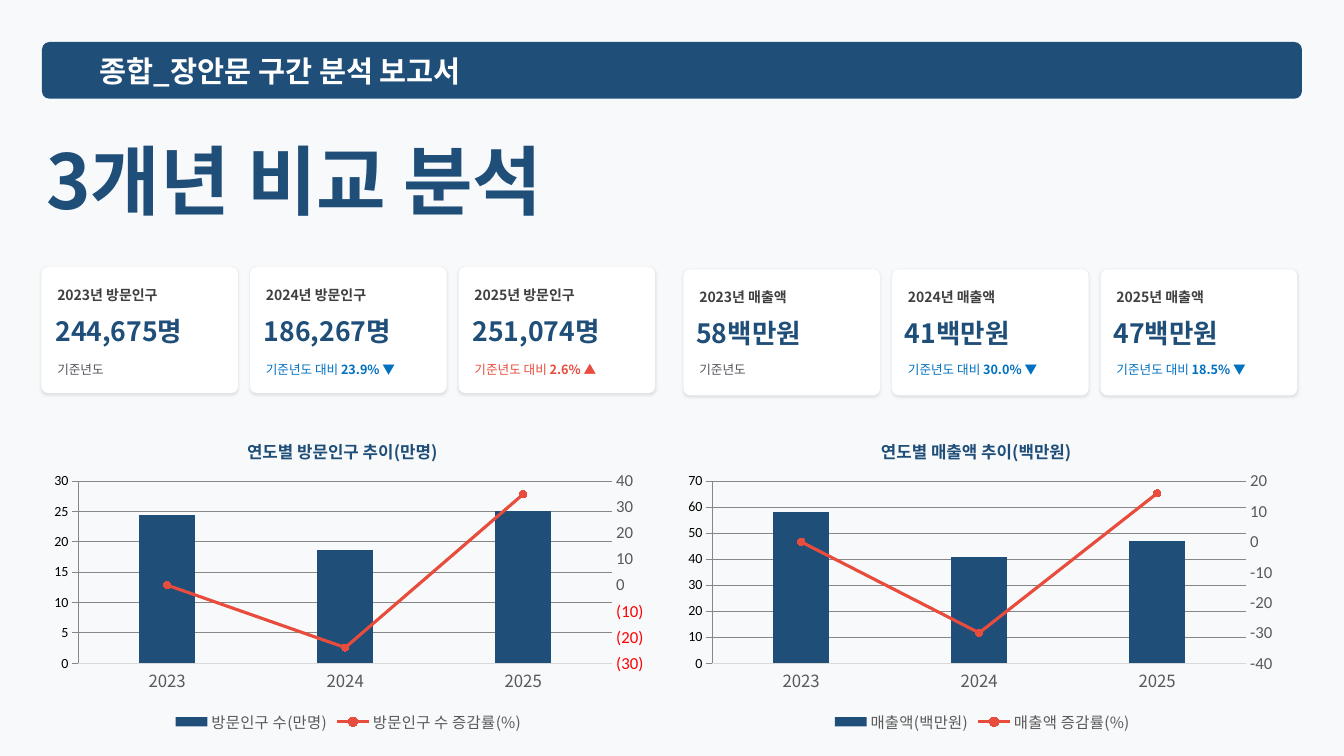
from pptx import Presentation
from pptx.chart.axis import ValueAxis
from pptx.chart.data import CategoryChartData
from pptx.dml.color import RGBColor
from pptx.enum.chart import (XL_CHART_TYPE as ChartType, XL_LEGEND_POSITION as LegendPosition,
                             XL_MARKER_STYLE as MarkerStyle, XL_TICK_MARK as TickMark)
from pptx.enum.shapes import MSO_SHAPE as ShapeKind
from pptx.enum.text import MSO_ANCHOR as Anchor, MSO_AUTO_SIZE as AutoSize, PP_ALIGN as Align
from pptx.oxml import parse_xml
from pptx.oxml.ns import nsdecls, qn
from pptx.util import Pt

COLORS = {
    "background": "F8F9FA", "navy": "1F4E79", "white": "FFFFFF", "label": "404040",
    "note": "51545A", "down": "0070C0", "up": "E74C3C", "axis": "595959",
    "grid": "D9D9D9", "black": "000000",
}
KOREAN, LATIN = "Noto Sans CJK KR", "Calibri"
FRAME = {"margin_left": 0, "margin_top": 0, "margin_right": 0, "margin_bottom": 0,
         "vertical_anchor": Anchor.MIDDLE, "word_wrap": True, "auto_size": AutoSize.NONE}
YEARS = ["2023", "2024", "2025"]

# Each card: label, label width, value, note, change, note colour
VISITOR_CARDS = [
    ("2023년 방문인구", 82, "244,675명", "기준년도", "", "note"),
    ("2024년 방문인구", 82, "186,267명", "기준년도 대비 ", "23.9% ▼", "down"),
    ("2025년 방문인구", 72, "251,074명", "기준년도 대비 ", "2.6% ▲", "up"),
]
SALES_CARDS = [
    ("2023년 매출액", 82, "58백만원", "기준년도", "", "note"),
    ("2024년 매출액", 82, "41백만원", "기준년도 대비 ", "30.0% ▼", "down"),
    ("2025년 매출액", 82, "47백만원", "기준년도 대비 ", "18.5% ▼", "down"),
]


def rgb(color):
    return RGBColor.from_string(COLORS[color])


def set_values(target, values):
    for name, value in values.items():
        setattr(target, name, value)


def style_font(font, size, color, bold=False, name=KOREAN):
    set_values(font, {"size": Pt(size), "bold": bold, "name": name})
    font.color.rgb = rgb(color)
    # Hangul takes its typeface from the East Asian slot
    latin = font._element.find(qn("a:latin"))
    latin.addnext(parse_xml(f'<a:ea {nsdecls("a")} typeface="{KOREAN}"/>'))


def fill_text(shape, runs):
    """Write one left-aligned paragraph; a run is (text, size, colour, bold)."""
    set_values(shape.text_frame, FRAME)
    paragraph = shape.text_frame.paragraphs[0]
    paragraph.alignment = Align.LEFT
    for text, *style in runs:
        run = paragraph.add_run()
        run.text = text
        style_font(run.font, *style)


def add_text(slide, left, top, width, height, *runs):
    box = slide.shapes.add_textbox(Pt(left), Pt(top), Pt(width), Pt(height))
    fill_text(box, runs)


def add_panel(slide, left, top, width, height, corner, color):
    panel = slide.shapes.add_shape(
        ShapeKind.ROUNDED_RECTANGLE, Pt(left), Pt(top), Pt(width), Pt(height))
    panel.adjustments[0] = corner
    panel.fill.solid()
    panel.fill.fore_color.rgb = rgb(color)
    panel.line.fill.background()
    panel.shadow.inherit = False
    return panel


def add_card(slide, left, top, value_inset, card):
    label, label_width, value, note, change, note_color = card
    panel = add_panel(slide, left, top, 140.4, 90, 0.053, "white")
    panel._element.spPr.find(qn("a:effectLst")).append(parse_xml(
        f'<a:outerShdw {nsdecls("a")} blurRad="{Pt(2)}" dist="{Pt(1)}" dir="5400000">'
        f'<a:srgbClr val="{COLORS["black"]}"><a:alpha val="10000"/></a:srgbClr></a:outerShdw>'))
    add_text(slide, left + 11.3, top + 13, label_width, 13, (label, 10, "label", True))
    add_text(slide, left + value_inset, top + 35.2, 138, 21, (value, 19, "navy", True))
    note_runs = [(note, 9, note_color, False)]
    if change:
        note_runs.append((change, 9, note_color, True))
    add_text(slide, left + 11.3, 256.3, 126, 15, *note_runs)


def remove_children(element, tag):
    for child in element.findall(qn(tag)):
        element.remove(child)


def set_layout(element, index, target="", **places):
    """Give a chart part a manual layout, as fractions of the chart."""
    remove_children(element, "c:layout")
    items = [f'<c:layoutTarget val="{target}"/>'] if target else []
    items += [f'<c:{axis}Mode val="edge"/>' for axis in "xy"]
    items += [f'<c:{name} val="{value}"/>' for name, value in places.items()]
    element.insert(index, parse_xml(
        f'<c:layout {nsdecls("c")}><c:manualLayout>{"".join(items)}</c:manualLayout></c:layout>'))


def move_rate_to_right_axis(chart):
    """Turn the second column series into a line on its own axis; return that axis."""
    plot_area = chart._chartSpace.chart.plotArea
    columns = plot_area.find(qn("c:barChart"))
    rate = columns.findall(qn("c:ser"))[1]
    remove_children(rate, "c:invertIfNegative")
    line = parse_xml(
        f'<c:lineChart {nsdecls("c")}><c:grouping val="standard"/><c:varyColors val="0"/>'
        '<c:marker val="1"/><c:axId val="501"/><c:axId val="502"/></c:lineChart>')
    line.insert(2, rate)
    columns.addnext(line)
    hidden = parse_xml(
        f'<c:catAx {nsdecls("c")}><c:axId val="501"/><c:scaling/><c:delete val="1"/>'
        '<c:axPos val="b"/><c:crossAx val="502"/><c:crosses val="autoZero"/></c:catAx>')
    right = parse_xml(
        f'<c:valAx {nsdecls("c")}><c:axId val="502"/><c:scaling/><c:delete val="0"/>'
        '<c:axPos val="r"/><c:numFmt formatCode="General" sourceLinked="0"/>'
        '<c:majorTickMark val="out"/><c:minorTickMark val="none"/><c:tickLblPos val="nextTo"/>'
        '<c:crossAx val="501"/><c:crosses val="max"/></c:valAx>')
    left = plot_area.find(qn("c:valAx"))
    left.addnext(hidden)
    hidden.addnext(right)
    return ValueAxis(right)


def style_value_axis(axis, minimum, maximum, unit):
    set_values(axis, {"minimum_scale": minimum, "maximum_scale": maximum, "major_unit": unit})
    axis.format.line.fill.background()
    style_font(axis.tick_labels.font, 12, "axis", name=LATIN)


def style_line(line, color, width):
    line.color.rgb = rgb(color)
    line.width = Pt(width)


def add_trend_chart(slide, left, title, amounts, rates, number_format, left_scale, right_scale):
    data = CategoryChartData()
    data.categories = YEARS
    for name, values in (amounts, rates):
        data.add_series(name, values)
    chart = slide.shapes.add_chart(ChartType.COLUMN_CLUSTERED, Pt(left), Pt(298.1),
                                   Pt(438.5), Pt(228.2), data).chart
    style_font(chart.font, 10, "black", name=LATIN)
    right_axis = move_rate_to_right_axis(chart)

    # Title, legend and plot area
    chart.has_title = True
    run = chart.chart_title.text_frame.paragraphs[0].add_run()
    run.text = title
    style_font(run.font, 12, "navy", True)
    set_layout(chart.chart_title._element, 1, x=0.33, y=0.05)
    set_layout(chart._chartSpace.chart.plotArea, 0, "inner", x=0.06, y=0.2, w=0.87, h=0.57)
    chart.has_legend = True
    set_values(chart.legend, {"position": LegendPosition.BOTTOM, "include_in_layout": False})
    style_font(chart.legend.font, 11, "axis")

    # Axes
    category_axis, value_axis = chart.category_axis, chart.value_axis
    for axis in (category_axis, value_axis):
        axis.major_tick_mark = TickMark.NONE
    style_line(category_axis.format.line, "grid", 0.75)
    style_font(category_axis.tick_labels.font, 12, "axis")
    style_value_axis(value_axis, *left_scale)
    style_value_axis(right_axis, *right_scale)
    set_values(value_axis.tick_labels,
               {"number_format": number_format, "number_format_is_linked": False})
    style_line(value_axis.major_gridlines.format.line, "grid", 0.75)

    # Columns and line
    columns, line = chart.plots
    set_values(columns, {"gap_width": 219, "vary_by_categories": False})
    column_fill = columns.series[0].format.fill
    column_fill.solid()
    column_fill.fore_color.rgb = rgb("navy")
    rate = line.series[0]
    rate.smooth = False
    style_line(rate.format.line, "up", 2.25)
    set_values(rate.marker, {"style": MarkerStyle.CIRCLE, "size": 5})
    rate.marker.format.fill.solid()
    rate.marker.format.fill.fore_color.rgb = rgb("up")
    style_line(rate.marker.format.line, "up", 0.75)


def main():
    presentation = Presentation()
    set_values(presentation, {"slide_width": Pt(960), "slide_height": Pt(540)})
    slide = presentation.slides.add_slide(presentation.slide_layouts[5])
    slide.background.fill.solid()
    slide.background.fill.fore_color.rgb = rgb("background")

    # Header bar and title
    add_panel(slide, 30, 30, 900, 40.5, 0.132, "navy")
    add_text(slide, 71.3, 35.3, 817, 31, ("종합_장안문 구간 분석 보고서", 21, "white", True))
    title = slide.shapes.title
    set_values(title, {"left": Pt(33), "top": Pt(88.6), "width": Pt(455), "height": Pt(78.5)})
    fill_text(title, [("3개년 비교 분석", 54, "navy", True)])

    # Yearly cards
    for left, top, value_inset, cards in ((29.6, 190.8, 10, VISITOR_CARDS),
                                          (488.2, 192.4, 9.2, SALES_CARDS)):
        for index, card in enumerate(cards):
            add_card(slide, left + 149 * index, top, value_inset, card)

    # Trend charts
    add_trend_chart(slide, 29.6, "연도별 방문인구 추이(만명)",
                    ("방문인구 수(만명)", (24.5, 18.6, 25.1)),
                    ("방문인구 수 증감률(%)", (0, -24, 35)),
                    r"#,##0_);[Red]\(#,##0\)", (0, 30, 5), (-30, 40, 10))
    add_trend_chart(slide, 482.4, "연도별 매출액 추이(백만원)",
                    ("매출액(백만원)", (58, 41, 47)),
                    ("매출액 증감률(%)", (0, -30, 16)),
                    "#,##0_ ", (0, 70, 10), (-40, 20, 10))

    presentation.save("out.pptx")


if __name__ == "__main__":
    main()
